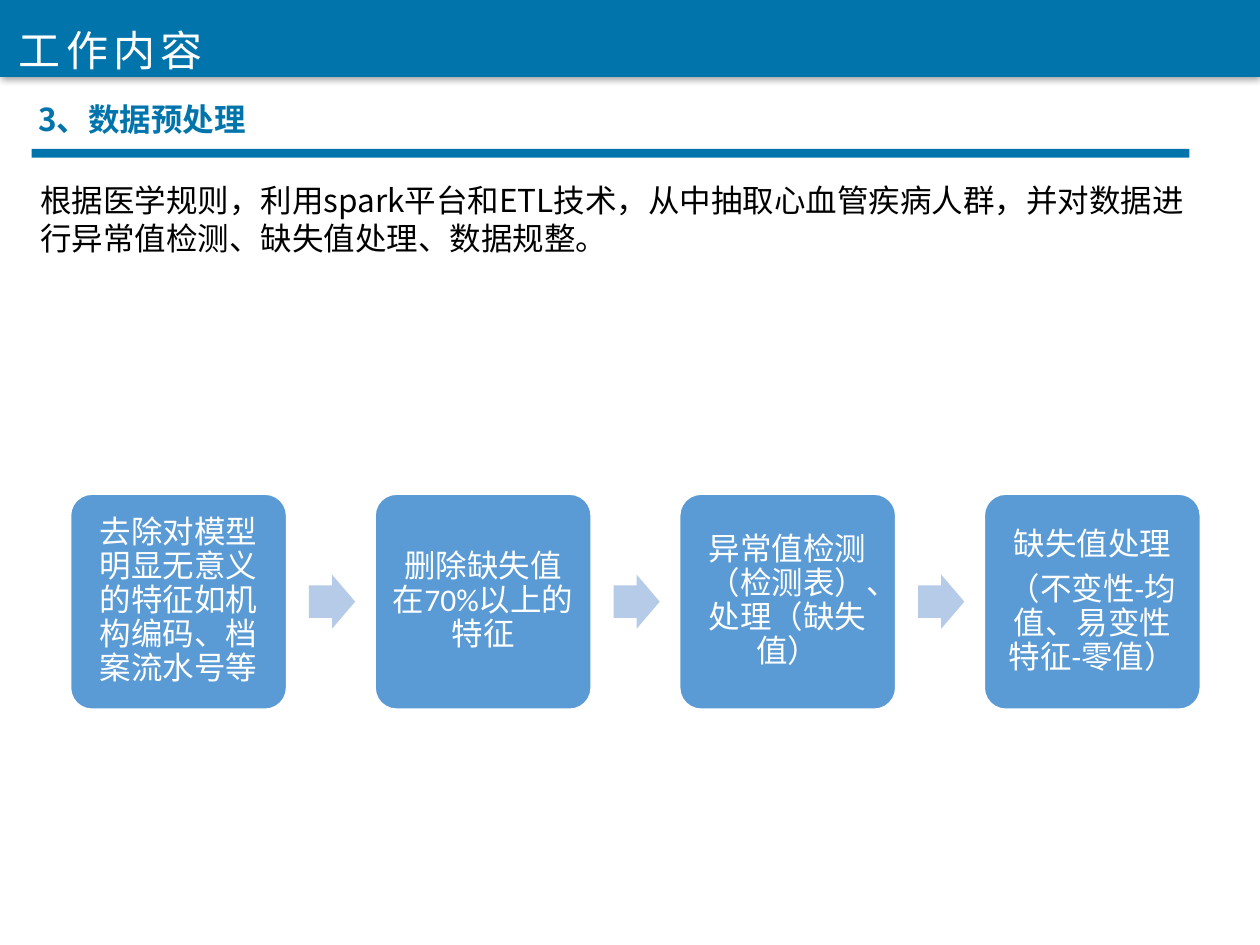
import pptx
import pptx.util
import pptx.dml.color
import pptx.enum.shapes
import pptx.enum.text
import pptx.oxml
import pptx.oxml.ns

Cm = pptx.util.Cm
Pt = pptx.util.Pt
RGBColor = pptx.dml.color.RGBColor
SHAPE = pptx.enum.shapes.MSO_SHAPE
ANCHOR = pptx.enum.text.MSO_ANCHOR
ALIGN = pptx.enum.text.PP_ALIGN

SIMPLIFIED = "Noto Sans CJK SC"
TRADITIONAL = "Noto Sans CJK TC"
LATIN = "Calibri"
BLUE = RGBColor(0x01, 0x74, 0xAB)
STEP_BLUE = RGBColor(0x5B, 0x9B, 0xD5)
ARROW_BLUE = RGBColor(0xB5, 0xCB, 0xE7)
WHITE = RGBColor(0xFF, 0xFF, 0xFF)
BLACK = RGBColor(0, 0, 0)

TITLE = "工作内容"
HEADING = " 3、数据预处理"
INTRODUCTION = [
    ("根据医学规则，", SIMPLIFIED),
    ("利用spark平台和ETL技术，", TRADITIONAL),
    ("从中抽取心血管疾病人群，并", SIMPLIFIED),
    ("对数据进行异常值检测、缺失值处理、数据规", TRADITIONAL),
    ("整", SIMPLIFIED),
    ("。", TRADITIONAL),
]
STEPS = [
    ["去除对模型明显无意义的特征如机构编码、档案流水号等"],
    ["删除缺失值在70%以上的特征"],
    ["异常值检测（检测表）、处理（缺失值）"],
    ["缺失值处理", "（不变性-均值、易变性特征-零值）"],
]

STEP_LEFT, STEP_TOP, STEP_PITCH = 1.42, 9.96, 6.14
STEP_WIDTH, STEP_HEIGHT = 4.36, 4.34
ARROW_WIDTH, ARROW_HEIGHT, ARROW_GAP = 0.93, 1.09, 0.45

SHADOW = (
    f'<a:outerShdw {pptx.oxml.ns.nsdecls("a")} blurRad="50800" dist="12700" '
    'dir="5400000" algn="t" rotWithShape="0"><a:srgbClr val="000000">'
    '<a:alpha val="40000"/></a:srgbClr></a:outerShdw>'
)


def format_run(run, size, font, color, bold=False, east_asian=None):
    run.font.size = Pt(size)
    run.font.name = font
    run.font.color.rgb = color
    run.font.bold = bold
    latin = run.font._element.find(pptx.oxml.ns.qn("a:latin"))
    latin.addnext(pptx.oxml.parse_xml(
        f'<a:ea {pptx.oxml.ns.nsdecls("a")} typeface="{east_asian or font}"/>'))


def add_filled_shape(slide, kind, left, top, width, height, color):
    shape = slide.shapes.add_shape(kind, Cm(left), Cm(top), Cm(width), Cm(height))
    shape.shadow.inherit = False
    shape.fill.solid()
    shape.fill.fore_color.rgb = color
    shape.line.fill.background()
    return shape


def add_text_box(slide, left, top, width, height, parts, size, color, bold=False):
    box = slide.shapes.add_textbox(Cm(left), Cm(top), Cm(width), Cm(height))
    box.text_frame.word_wrap = True
    paragraph = box.text_frame.paragraphs[0]
    for text, font in parts:
        run = paragraph.add_run()
        run.text = text
        format_run(run, size, font, color, bold)


def add_title(slide):
    title = slide.shapes.title
    title.left, title.top, title.width, title.height = Cm(0), Cm(0.36), Cm(4.47), Cm(1.27)
    frame = title.text_frame
    frame.text = TITLE
    frame.word_wrap = False
    frame.auto_size = pptx.enum.text.MSO_AUTO_SIZE.NONE
    frame.vertical_anchor = ANCHOR.TOP
    paragraph = frame.paragraphs[0]
    paragraph.alignment = ALIGN.CENTER
    run = paragraph.runs[0]
    format_run(run, 24, SIMPLIFIED, WHITE)
    run.font._element.set("spc", "300")
    title.element.getparent().append(title.element)


def add_step(slide, left, lines):
    shape = add_filled_shape(slide, SHAPE.ROUNDED_RECTANGLE, left, STEP_TOP,
                             STEP_WIDTH, STEP_HEIGHT, STEP_BLUE)
    shape.adjustments[0] = 0.1
    shape.line.color.rgb = WHITE
    shape.line.width = Pt(1)
    frame = shape.text_frame
    frame.text = "\n".join(lines)
    frame.word_wrap = True
    frame.vertical_anchor = ANCHOR.MIDDLE
    frame.margin_left = frame.margin_right = Cm(0.18)
    frame.margin_top = frame.margin_bottom = Cm(0.18)
    for paragraph in frame.paragraphs:
        paragraph.alignment = ALIGN.CENTER
        paragraph.line_spacing = 0.9
        paragraph.space_after = Pt(6.3)
        format_run(paragraph.runs[0], 18, LATIN, WHITE, east_asian=SIMPLIFIED)


def add_arrow(slide, left):
    top = STEP_TOP + (STEP_HEIGHT - ARROW_HEIGHT) / 2
    arrow = add_filled_shape(slide, SHAPE.RIGHT_ARROW, left, top,
                             ARROW_WIDTH, ARROW_HEIGHT, ARROW_BLUE)
    arrow.adjustments[0] = 0.6
    arrow.adjustments[1] = 0.5


def main():
    presentation = pptx.Presentation()
    presentation.slide_width, presentation.slide_height = Cm(25.4), Cm(19.05)
    slide = presentation.slides.add_slide(presentation.slide_layouts[5])

    add_text_box(slide, 0.38, 1.9, 21.8, 1.02, [(HEADING, SIMPLIFIED)], 18, BLUE, True)
    add_filled_shape(slide, SHAPE.RECTANGLE, 0.64, 3, 23.34, 0.18, BLUE)
    band = add_filled_shape(slide, SHAPE.RECTANGLE, 0, 0, 25.4, 1.55, BLUE)
    effects = band.element.spPr.find(pptx.oxml.ns.qn("a:effectLst"))
    effects.append(pptx.oxml.parse_xml(SHADOW))
    add_title(slide)
    add_text_box(slide, 0.56, 3.53, 23.67, 1.8, INTRODUCTION, 18, BLACK)

    for index, lines in enumerate(STEPS):
        left = STEP_LEFT + index * STEP_PITCH
        add_step(slide, left, lines)
        if index < len(STEPS) - 1:
            add_arrow(slide, left + STEP_WIDTH + ARROW_GAP)

    presentation.save("out.pptx")


if __name__ == "__main__":
    main()
